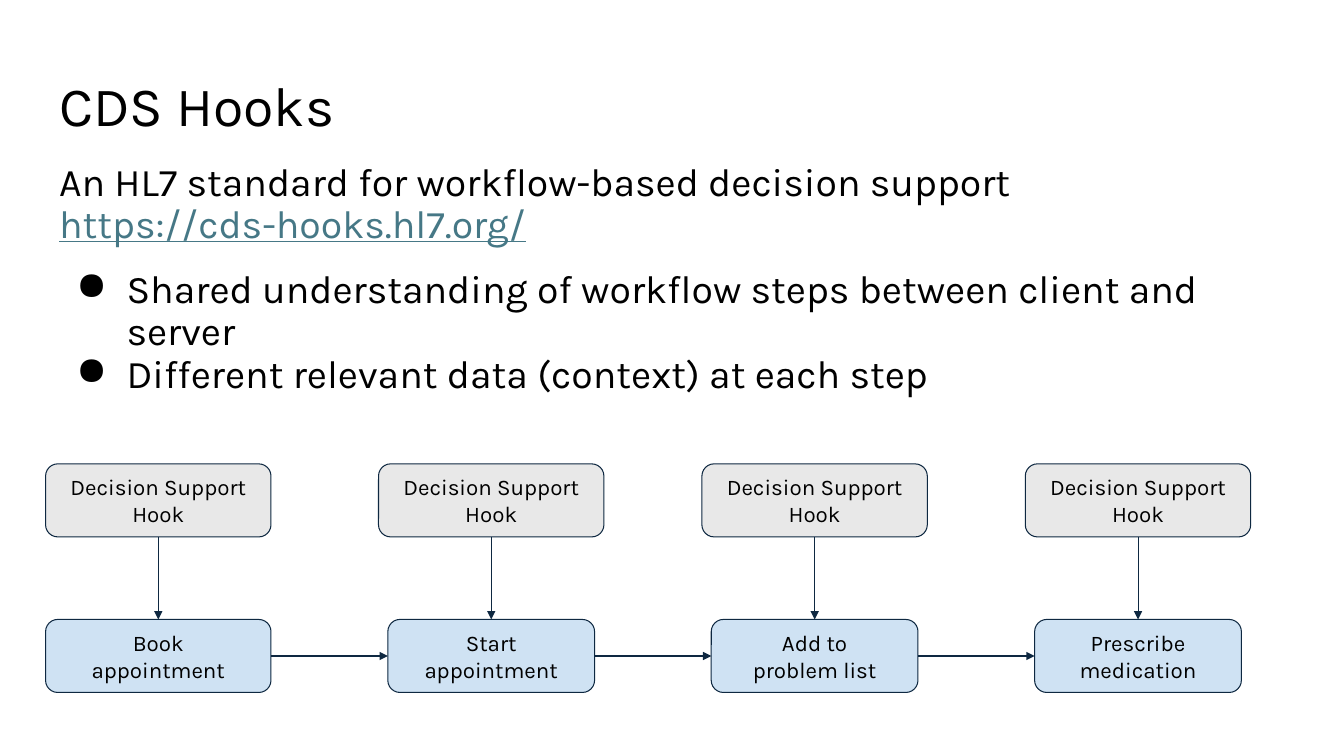
from dataclasses import dataclass
from itertools import pairwise

from lxml.etree import SubElement as Sub
from pptx import Presentation
from pptx.dml.color import RGBColor
from pptx.enum.shapes import MSO_CONNECTOR as Line, MSO_SHAPE as Kind
from pptx.enum.text import MSO_ANCHOR as Anchor, PP_ALIGN as Align
from pptx.oxml.ns import qn
from pptx.shapes.autoshape import Shape
from pptx.slide import Slide
from pptx.text.text import TextFrame, _Paragraph as Para
from pptx.util import Cm, Pt

BLACK = RGBColor(0x00, 0x00, 0x00)
NAVY = RGBColor(0x0E, 0x28, 0x41)
BLUE = RGBColor(0xCF, 0xE2, 0xF3)
GREY = RGBColor(0xE8, 0xE8, 0xE8)
TEAL = RGBColor(0x46, 0x78, 0x86)

FONT = "Karla"
INSET = Cm(0.34)
LEFT, WIDE = 1.15, 31.55
HOOK_TOP, STEP_TOP, HIGH = 11.69, 15.61, 1.84
HOOK_WIDE, STEP_WIDE = 5.68, 5.21
FIRST, SECOND, PITCH = 3.99, 12.38, 8.15


@dataclass
class Step:
    text: str
    mid: float
    wide: float = STEP_WIDE


STEPS = [
    Step("Book\nappointment", FIRST, HOOK_WIDE),
    Step("Start appointment", SECOND),
    Step("Add to\nproblem list", SECOND + PITCH),
    Step("Prescribe medication", SECOND + 2 * PITCH),
]
POINTS = [
    "Shared understanding of workflow steps between client and server",
    "Different relevant data (context) at each step",
]


def write(para: Para, text: str, *, size: float,
          color: RGBColor = BLACK, under: bool = False) -> None:
    for row, part in enumerate(text.split("\n")):
        if row:
            para.add_line_break()
        if part:
            run = para.add_run()
            run.text = part
            font = run.font
            font.name, font.size = FONT, Pt(size)
            font.color.rgb, font.underline = color, under


def pad(frame: TextFrame) -> None:
    frame.word_wrap = True
    frame.margin_left = frame.margin_right = INSET
    frame.margin_top = frame.margin_bottom = INSET


def add_text(slide: Slide, top: float, high: float) -> TextFrame:
    box = slide.shapes.add_textbox(Cm(LEFT), Cm(top), Cm(WIDE), Cm(high))
    pad(box.text_frame)
    box.text_frame.paragraphs[0].line_spacing = 0.9
    return box.text_frame


def add_point(frame: TextFrame, text: str, gap: float) -> None:
    para = frame.add_paragraph()
    props = para._p.get_or_add_pPr()
    props.set("marL", str(Cm(1.7)))
    props.set("indent", str(Cm(-1.27)))
    Sub(props, qn("a:buChar"), char="●")
    para.line_spacing, para.space_before = 0.9, Pt(gap)
    write(para, text, size=28)


def add_box(slide: Slide, step: Step, top: float, fill: RGBColor) -> Shape:
    box = slide.shapes.add_shape(
        Kind.ROUNDED_RECTANGLE, Cm(step.mid - step.wide / 2), Cm(top),
        Cm(step.wide), Cm(HIGH))
    box.shadow.inherit = False
    box.fill.solid()
    box.fill.fore_color.rgb = fill
    box.line.color.rgb, box.line.width = NAVY, Pt(0.75)
    frame = box.text_frame
    pad(frame)
    frame.vertical_anchor = Anchor.MIDDLE
    para = frame.paragraphs[0]
    para.alignment = Align.CENTER
    write(para, step.text, size=16)
    return box


def join(slide: Slide, start: Shape, out: int, end: Shape, into: int) -> None:
    link = slide.shapes.add_connector(Line.STRAIGHT, 0, 0, 0, 0)
    link.begin_connect(start, out)
    link.end_connect(end, into)
    link.line.color.rgb, link.line.width = NAVY, Pt(0.75)
    Sub(link.line._get_or_add_ln(), qn("a:tailEnd"), type="triangle")
    Sub(link._element.spPr, qn("a:effectLst"))


def main() -> None:
    deck = Presentation()
    deck.slide_width, deck.slide_height = Cm(33.87), Cm(19.05)
    slide = deck.slides.add_slide(deck.slide_layouts[6])

    title = add_text(slide, 1.65, 2.13)
    write(title.paragraphs[0], "CDS Hooks", size=39.6)

    body = add_text(slide, 3.76, 12.65)
    intro = body.paragraphs[0]
    write(intro, "An HL7 standard for workflow-based decision support\n", size=28)
    write(intro, "https://cds-hooks.hl7.org/", size=28, color=TEAL, under=True)
    for text, gap in zip(POINTS, (16, 0)):
        add_point(body, text, gap)

    boxes = [add_box(slide, step, STEP_TOP, BLUE) for step in STEPS]
    for start, end in pairwise(boxes):
        join(slide, start, 3, end, 1)
    for step, box in zip(STEPS, boxes):
        hook = Step("Decision Support Hook", step.mid, HOOK_WIDE)
        join(slide, add_box(slide, hook, HOOK_TOP, GREY), 2, box, 0)

    deck.save("out.pptx")


if __name__ == "__main__":
    main()
